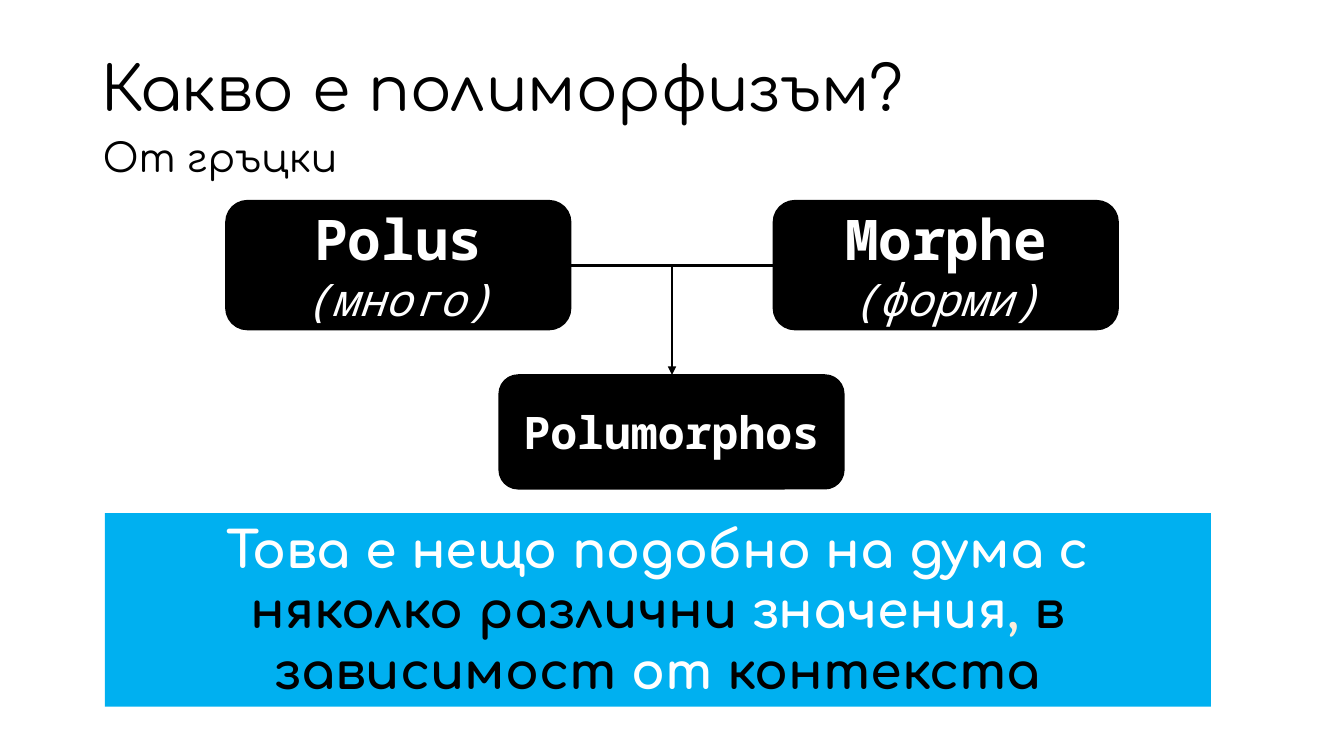
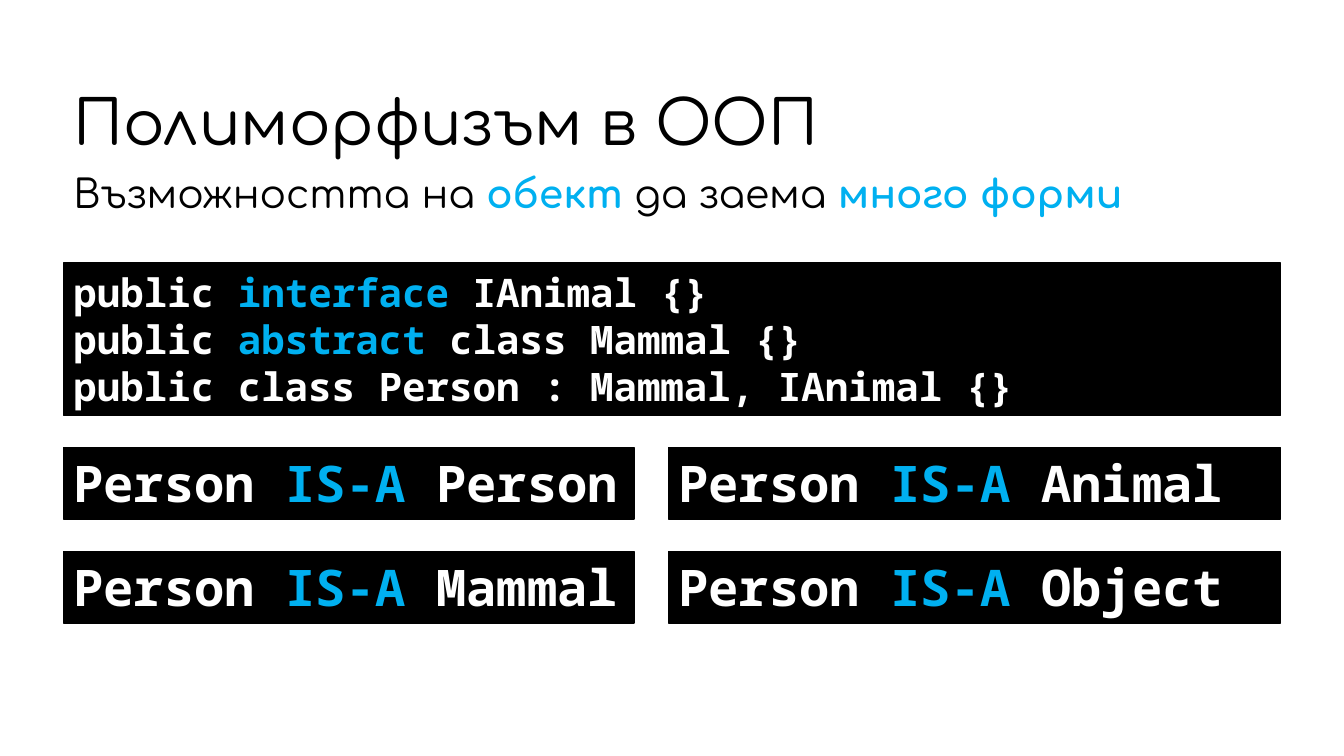
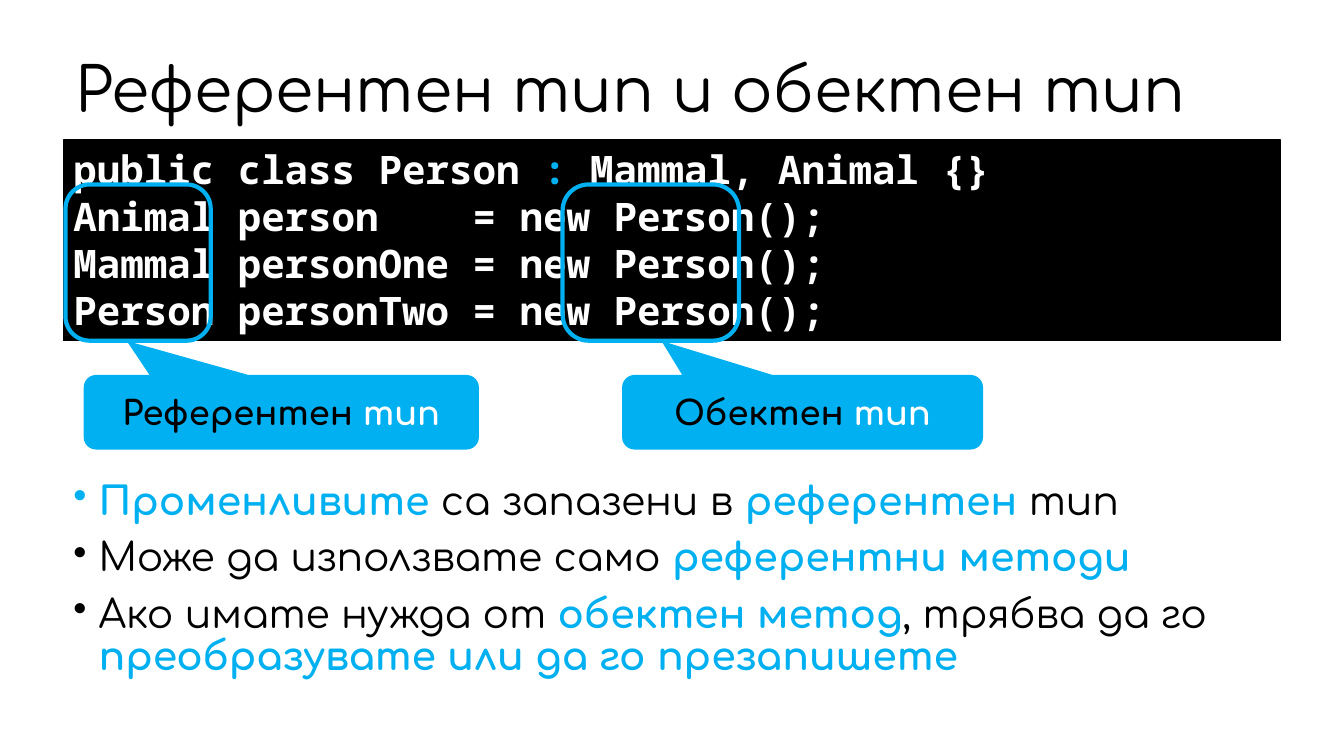
from dataclasses import dataclass
from typing import Optional, Sequence

from lxml import etree
from pptx import Presentation
from pptx import util as u
from pptx.dml.color import RGBColor
from pptx.enum import shapes, text
from pptx.oxml import ns


@dataclass(frozen=True)
class Theme:
    black: str = "000000"
    white: str = "FFFFFF"
    blue: str = "00B0F0"
    cream: str = "FBEEDC"
    prose: str = "Comfortaa"
    mono: str = "Noto Sans Mono"
    title: int = 44
    term: int = 40
    statement: int = 36
    gloss: int = 32
    body: int = 28
    label: int = 24


THEME = Theme()


@dataclass(frozen=True)
class Look:
    font: str
    size: int
    color: str
    bold: bool = False
    align: Optional[text.PP_ALIGN] = None
    spacing: Optional[float] = None
    before: int = 0
    bullet: bool = False


@dataclass(frozen=True)
class Span:
    """A piece of text; unset fields come from the Look of its box."""
    words: str
    color: Optional[str] = None
    bold: Optional[bool] = None
    italic: bool = False
    size: Optional[int] = None


@dataclass(frozen=True)
class Area:
    left: float
    top: float
    width: float
    height: float

    @property
    def right(self) -> float:
        return self.left + self.width

    @property
    def middle(self) -> float:
        return self.top + self.height / 2

    def lengths(self) -> list:
        return [u.Inches(side) for side in (self.left, self.top, self.width, self.height)]


@dataclass(frozen=True)
class Callout:
    word: str
    target: Area
    area: Area


Lines = Sequence[Sequence[Span]]
CENTER = text.PP_ALIGN.CENTER
LEFT = text.PP_ALIGN.LEFT
MIDDLE = text.MSO_ANCHOR.MIDDLE
TOP = text.MSO_ANCHOR.TOP
RECTANGLE = shapes.MSO_SHAPE.RECTANGLE
ROUNDED = shapes.MSO_SHAPE.ROUNDED_RECTANGLE
BUBBLE = shapes.MSO_SHAPE.ROUNDED_RECTANGULAR_CALLOUT

TITLE = Look(THEME.prose, THEME.title, THEME.black, spacing=0.9)
BODY = Look(THEME.prose, THEME.body, THEME.black, spacing=0.9)
BULLETS = Look(THEME.prose, THEME.body, THEME.black, spacing=0.9, before=10, bullet=True)
CODE = Look(THEME.mono, THEME.body, THEME.white, bold=True, align=LEFT)
RELATION = Look(THEME.mono, THEME.statement, THEME.white, bold=True, align=LEFT)
TERM = Look(THEME.mono, THEME.gloss, THEME.white, bold=True, align=CENTER)
STATEMENT = Look(THEME.prose, THEME.statement, THEME.white, bold=True, align=CENTER)
LABEL = Look(THEME.prose, THEME.label, THEME.black, bold=True, align=CENTER)

MARGIN = 0.63
CONTENT_WIDTH = 12.07


def rgb(color: str) -> RGBColor:
    return RGBColor.from_string(color)


def accent(words: str) -> Span:
    return Span(words, THEME.blue, True)


def write(frame, lines: Lines, look: Look, anchor=TOP, wrap: bool = True) -> None:
    frame.word_wrap = wrap
    frame.vertical_anchor = anchor
    for index, spans in enumerate(lines):
        para = frame.add_paragraph() if index else frame.paragraphs[0]
        para.alignment = look.align
        para.line_spacing = look.spacing
        if index and look.before:
            para.space_before = u.Pt(look.before)
        if look.bullet:
            props = para._p.get_or_add_pPr()
            props.set("marL", str(u.Inches(0.25)))
            props.set("indent", str(u.Inches(-0.25)))
            etree.SubElement(props, ns.qn("a:buChar")).set("char", "•")
        for span in spans:
            run = para.add_run()
            run.text = span.words
            run.font.name = look.font
            run.font.size = u.Pt(span.size or look.size)
            run.font.bold = look.bold if span.bold is None else span.bold
            run.font.italic = span.italic
            run.font.color.rgb = rgb(span.color or look.color)


def add_text(page, area: Area, lines: Lines, look: Look, anchor=TOP) -> None:
    write(page.shapes.add_textbox(*area.lengths()).text_frame, lines, look, anchor)


def add_title(page, area: Area, words: str) -> None:
    add_text(page, area, [[Span(words)]], TITLE, MIDDLE)


def add_box(page, kind, area: Area, fill: Optional[str] = None,
            line: Optional[str] = None, weight: float = 1):
    box = page.shapes.add_shape(kind, *area.lengths())
    box.shadow.inherit = False
    if fill:
        box.fill.solid()
        box.fill.fore_color.rgb = rgb(fill)
    else:
        box.fill.background()
    if line:
        box.line.color.rgb = rgb(line)
        box.line.width = u.Pt(weight)
    else:
        box.line.fill.background()
    return box


def add_panel(page, area: Area, lines: Lines, look: Look) -> None:
    """A black rectangle that holds code."""
    box = add_box(page, RECTANGLE, area, THEME.black, THEME.black)
    write(box.text_frame, lines, look)


def add_term(page, area: Area, lines: Lines) -> None:
    box = add_box(page, ROUNDED, area, THEME.black, THEME.black)
    write(box.text_frame, lines, TERM, MIDDLE, wrap=False)


def add_line(page, start: tuple, end: tuple, arrow: bool = False) -> None:
    line = page.shapes.add_connector(
        shapes.MSO_CONNECTOR.STRAIGHT, *(u.Inches(value) for value in start + end))
    line.line.color.rgb = rgb(THEME.black)
    line.line.width = u.Pt(2)
    if arrow:
        stroke = line.line._get_or_add_ln()
        etree.SubElement(stroke, ns.qn("a:tailEnd")).set("type", "triangle")
    etree.SubElement(line._element.spPr, ns.qn("a:effectLst"))


def add_callout(page, callout: Callout) -> None:
    add_box(page, ROUNDED, callout.target, line=THEME.blue, weight=3)
    bubble = add_box(page, BUBBLE, callout.area, THEME.blue)
    for index, value in enumerate((-0.391, -0.956, 0.167)):
        bubble.adjustments[index] = value
    spans = [Span(callout.word + " "), Span("тип", THEME.white)]
    write(bubble.text_frame, [spans], LABEL, MIDDLE)


def build_definition(page) -> None:
    add_text(page, Area(0.92, 1.33, 11.5, 0.58), [[Span("От гръцки")]], BODY)
    add_title(page, Area(0.91, 0.37, 11.5, 1.07), "Какво е полиморфизъм?")

    polus = Area(2.24, 1.99, 3.42, 1.28)
    morphe = Area(7.67, 1.99, 3.42, 1.28)
    result = Area(4.95, 3.72, 3.42, 1.13)
    for area, word, meaning in ((polus, "Polus", "(много)"), (morphe, "Morphe", "(форми)")):
        add_term(page, area, [[Span(word, size=THEME.term)],
                              [Span(meaning, bold=False, italic=True)]])
    add_term(page, result, [[Span("Polumorphos")]])

    junction = (polus.right + morphe.left) / 2
    add_line(page, (polus.right, polus.middle), (morphe.left, morphe.middle))
    add_line(page, (junction, polus.middle), (junction, result.top), arrow=True)

    box = add_box(page, RECTANGLE, Area(1.04, 5.09, 10.97, 1.92), THEME.blue)
    write(box.text_frame, [[
        Span("Това е нещо подобно на дума с "),
        Span("няколко различни ", THEME.black),
        Span("значения"),
        Span(", ", THEME.cream),
        Span("в зависимост ", THEME.black),
        Span("от "),
        Span("контекста", THEME.black),
    ]], STATEMENT)


def build_polymorphism(page) -> None:
    add_text(page, Area(MARGIN, 1.68, CONTENT_WIDTH, 0.68), [[
        Span("Възможността на "), accent("обект "),
        Span("да заема "), accent("много форми"),
    ]], BODY)
    add_title(page, Area(MARGIN, 0.83, CONTENT_WIDTH, 0.84), "Полиморфизъм в ООП")
    add_panel(page, Area(MARGIN, 2.61, CONTENT_WIDTH, 1.51), [
        [Span("public "), accent("interface"), Span(" IAnimal {}")],
        [Span("public "), accent("abstract"), Span(" class Mammal {}")],
        [Span("public class Person : Mammal, IAnimal {}")],
    ], CODE)

    columns = ((MARGIN, 5.66, ("Person", "Mammal")), (6.63, 6.07, ("Animal", "Object")))
    for left, width, kinds in columns:
        for top, kind in zip((4.44, 5.47), kinds):
            add_panel(page, Area(left, top, width, 0.71),
                      [[Span("Person "), accent("IS-A"), Span(" " + kind)]], RELATION)


def build_types(page) -> None:
    add_text(page, Area(MARGIN, 4.73, CONTENT_WIDTH, 2.25), [
        [accent("Променливите "), Span("са запазени в "), accent("референтен "), Span("тип")],
        [Span("Може да използвате само "), accent("референтни методи")],
        [Span("Ако имате нужда от "), accent("обектен метод"),
         Span(", трябва да го "), accent("преобразувате или да го презапишете")],
    ], BULLETS)
    add_title(page, Area(0.65, 0.43, CONTENT_WIDTH, 0.97), "Референтен тип и обектен тип")
    add_panel(page, Area(MARGIN, 1.39, CONTENT_WIDTH, 1.99), [
        [Span("public class Person "), accent(":"), Span(" Mammal, Animal {}")],
        [Span("Animal person    = new Person();")],
        [Span("Mammal personOne = new Person();")],
        [Span("Person personTwo = new Person();")],
    ], CODE)
    for callout in (
        Callout("Референтен", Area(0.65, 1.83, 1.44, 1.55), Area(0.83, 3.72, 3.92, 0.74)),
        Callout("Обектен", Area(5.58, 1.83, 1.75, 1.55), Area(6.17, 3.72, 3.58, 0.74)),
    ):
        add_callout(page, callout)


def main() -> None:
    deck = Presentation()
    deck.slide_width = u.Inches(13.33)
    deck.slide_height = u.Inches(7.5)
    blank = deck.slide_layouts[6]
    for build in (build_definition, build_polymorphism, build_types):
        build(deck.slides.add_slide(blank))
    deck.save("out.pptx")


if __name__ == "__main__":
    main()
